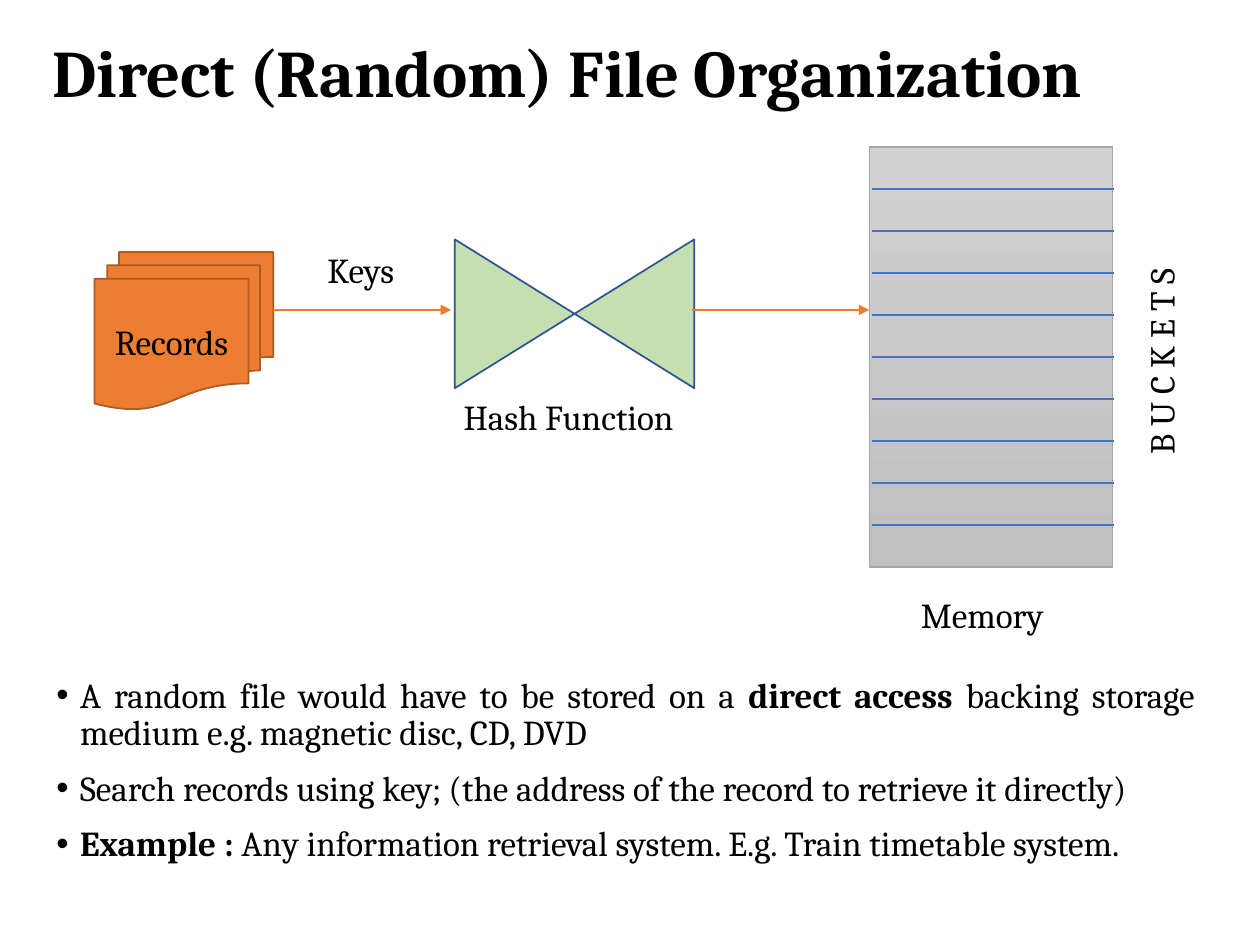
from lxml.etree import SubElement
from pptx import Presentation
from pptx.dml.color import RGBColor
from pptx.enum.shapes import MSO_CONNECTOR, MSO_SHAPE
from pptx.enum.text import MSO_ANCHOR, PP_ALIGN
from pptx.oxml.ns import qn
from pptx.util import Pt

color = RGBColor.from_string


def add_label(text, left, top, width, height, size=20, bold=False, wrap=False):
    label = slide.shapes.add_textbox(Pt(left), Pt(top), Pt(width), Pt(height))
    label.text_frame.word_wrap = wrap
    label.text_frame.text = text
    font = label.text_frame.paragraphs[0].runs[0].font
    font.name, font.size, font.bold = "Cambria", Pt(size), bold
    font.color.rgb = color("000000")
    return label


def add_line(x1, x2, y, line_color, width, arrow=False):
    connector = slide.shapes.add_connector(
        MSO_CONNECTOR.STRAIGHT, Pt(x1), Pt(y), Pt(x2), Pt(y))
    connector.line.color.rgb = color(line_color)
    connector.line.width = Pt(width)
    properties = connector.line._get_or_add_ln()
    if arrow:
        SubElement(properties, qn("a:tailEnd"), type="triangle")
    SubElement(properties.getparent(), qn("a:effectLst"))


prs = Presentation()
prs.slide_width, prs.slide_height = Pt(720), Pt(540)
slide = prs.slides.add_slide(prs.slide_layouts[6])

title = add_label("Direct (Random) File Organization", 23, 5.8, 674, 75.6, 38, True, True)
title.text_frame.vertical_anchor = MSO_ANCHOR.MIDDLE
title.text_frame.paragraphs[0].line_spacing = 0.9

records = slide.shapes.add_shape(
    MSO_SHAPE.FLOWCHART_MULTIDOCUMENT, Pt(54), Pt(144), Pt(102.2), Pt(90))
hash_function = slide.shapes.add_shape(
    MSO_SHAPE.FLOWCHART_COLLATE, Pt(285.8), Pt(110.9), Pt(85), Pt(136.8))
hash_function.rotation = 90
memory = slide.shapes.add_shape(
    MSO_SHAPE.RECTANGLE, Pt(496.8), Pt(84), Pt(139), Pt(240))

for part, fill, outline, width in [
    (records, "ED7D31", "AC5B23", 1),
    (hash_function, "C4E0B2", "31538F", 1),
    (memory, "C7C7C7", "A5A5A5", 0.75),
]:
    part.shadow.inherit = False
    part.fill.solid()
    part.fill.fore_color.rgb = color(fill)
    part.line.color.rgb = color(outline)
    part.line.width = Pt(width)

memory.fill.gradient()
memory.fill.gradient_angle = 270
for stop, shade in zip(memory.fill.gradient_stops, ["D1D1D1", "C0C0C0"]):
    stop.color.rgb = color(shade)

records.text_frame.text = "Records"
records.text_frame.vertical_anchor = MSO_ANCHOR.MIDDLE
records.text_frame.paragraphs[0].alignment = PP_ALIGN.CENTER
records_font = records.text_frame.paragraphs[0].runs[0].font
records_font.name, records_font.size = "Cambria", Pt(20)
records_font.color.rgb = color("000000")

for start, end in [(156.2, 257.8), (395.3, 496.8)]:
    add_line(start, end, 177.1, "ED7D31", 1, arrow=True)
for bucket in range(1, 10):
    add_line(498.2, 636.8, 84 + 24 * bucket, "4472C4", 0.75)

add_label("Keys", 180, 138.2, 55.4, 31.5)
add_label("Hash Function", 257.8, 222.5, 139, 31.5)
add_label("Memory", 519.1, 335.5, 87.1, 31.5)
buckets = add_label("B U C K E T S", 552.2, 190.8, 222.5, 31.5, wrap=True)
buckets.rotation = 270
buckets.text_frame.paragraphs[0].alignment = PP_ALIGN.CENTER

points = [
    [("A random file would have to be stored on a ", False),
     ("direct access", True),
     (" backing storage medium e.g. magnetic disc, CD, DVD", False)],
    [("Search records using key; (the address of the record to retrieve it directly)", False)],
    [("Example : ", True),
     ("Any information retrieval system. E.g. Train timetable system.", False)],
]
notes = slide.shapes.add_textbox(Pt(25.2), Pt(383.8), Pt(664.6), Pt(126))
notes.text_frame.word_wrap = True
for index, pieces in enumerate(points):
    point = notes.text_frame.add_paragraph() if index else notes.text_frame.paragraphs[0]
    point.alignment = PP_ALIGN.JUSTIFY
    point.line_spacing = 0.9
    point.space_before = Pt(10 if index else 0)
    for text, bold in pieces:
        run = point.add_run()
        run.text = text
        run.font.name, run.font.size, run.font.bold = "Cambria", Pt(20), bold
        run.font.color.rgb = color("000000")
    layout = point._p.get_or_add_pPr()
    layout.set("marL", str(Pt(13.5)))
    layout.set("indent", str(Pt(-13.5)))
    SubElement(layout, qn("a:buFont"), typeface="Arial")
    SubElement(layout, qn("a:buChar"), char="•")

prs.save("out.pptx")
